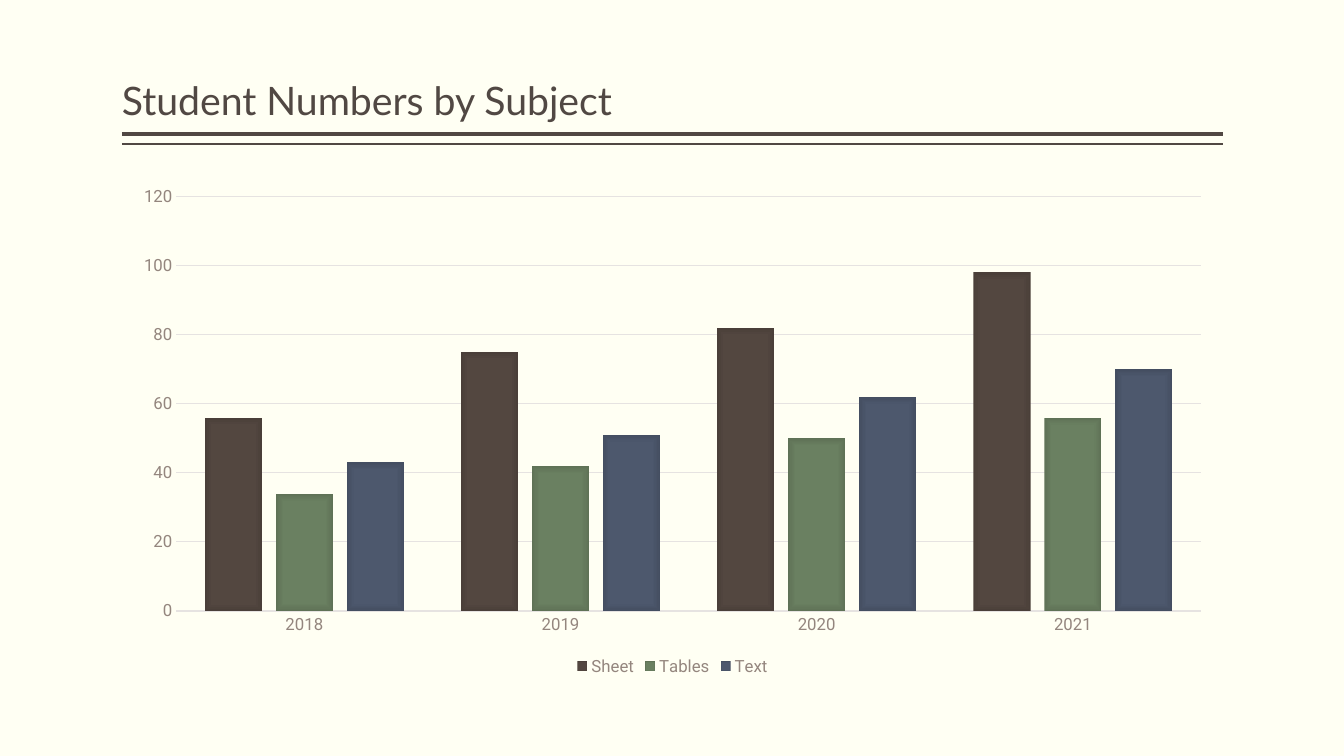
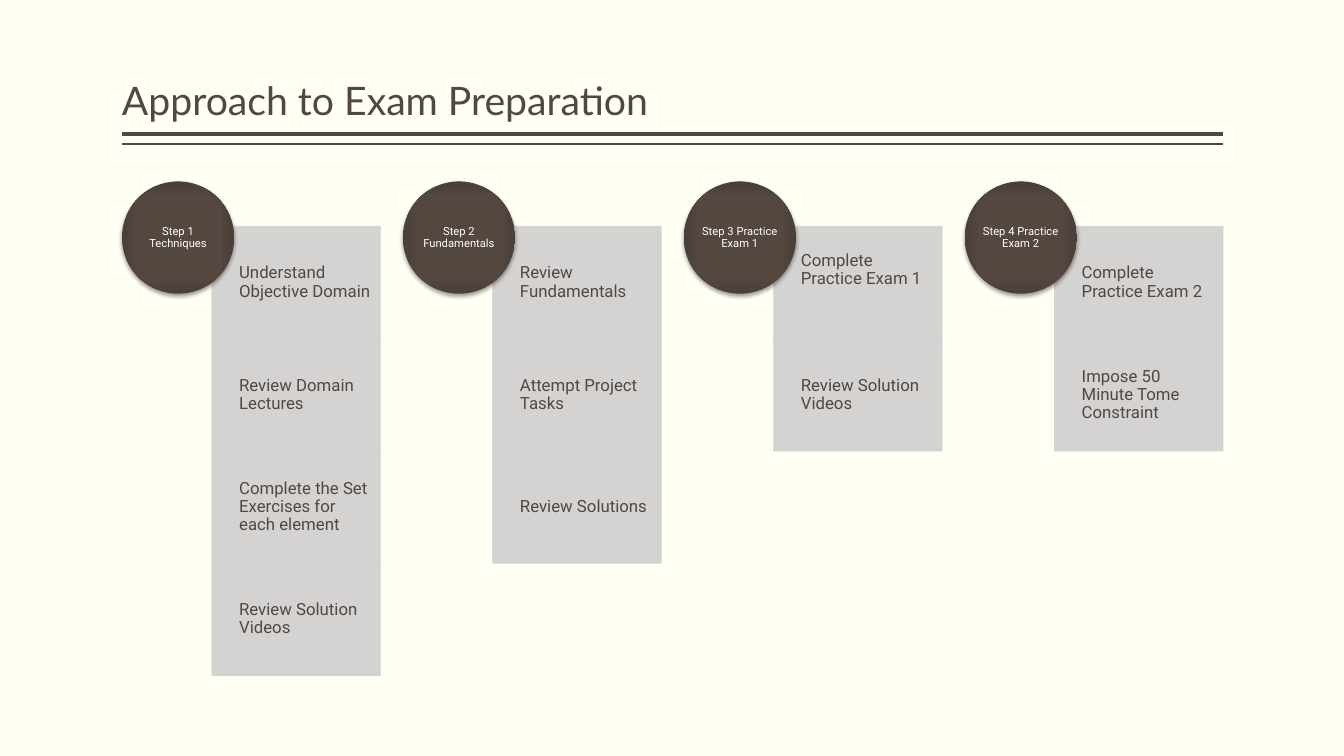
from lxml import etree
from pptx import Presentation
from pptx.chart.data import CategoryChartData
from pptx.dml.color import RGBColor
from pptx.enum.chart import XL_CHART_TYPE as ChartType
from pptx.enum.chart import XL_LEGEND_POSITION as LegendPosition
from pptx.enum.chart import XL_TICK_MARK as TickMark
from pptx.enum.shapes import MSO_CONNECTOR as Connector
from pptx.enum.shapes import MSO_SHAPE as Shape
from pptx.enum.text import MSO_ANCHOR as Anchor
from pptx.enum.text import MSO_AUTO_SIZE as AutoSize
from pptx.enum.text import PP_ALIGN as Align
from pptx.oxml import parse_xml
from pptx.oxml.ns import nsdecls, qn
from pptx.util import Inches, Pt

TITLE_ONLY = 5
CREAM, INK, TAUPE, RULE, TILE, WHITE = (
    "FFFFF3", "514843", "94867E", "E6E3E1", "D0CFCF", "FFFFFF")
# Gradients run from the centre to the edge
BROWN = ("544740", "534740", "4A3F39")
GREEN = ("6B8162", "6A8061", "5F7256")
BLUE = ("4E596E", "4D586D", "444E61")

# Content area, in inches
LEFT, WIDTH = 1.21, 10.92
# Step grid: the circle's diameter is the unit; four steps span 9.8 units
UNIT = WIDTH / 9.8
STEP_TOP, STEP_PITCH = 1.8, 2.5
TILE_LEFT, TILE_TOP, TILE_WIDTH = 0.8, 0.4, 1.5


def color(value):
    return RGBColor.from_string(value)


def shade(fill, properties, stops):
    """Give a shape or series a gradient from the centre outwards."""
    fill.solid()
    marks = "".join(
        f'<a:gs pos="{position}000"><a:srgbClr val="{stop}"/></a:gs>'
        for position, stop in zip((0, 71, 100), stops))
    gradient = parse_xml(
        f'<a:gradFill {nsdecls("a")} rotWithShape="1"><a:gsLst>{marks}</a:gsLst>'
        '<a:path path="rect"><a:fillToRect l="50000" t="50000" r="50000" b="50000"/>'
        '</a:path></a:gradFill>')
    properties.replace(properties.find(qn("a:solidFill")), gradient)


class Deck:
    """Holds the style and the current slide."""

    def __init__(self):
        self.presentation = Presentation()
        self.presentation.slide_width = Inches(13.33)
        self.presentation.slide_height = Inches(7.5)
        background = self.presentation.slide_master.background.fill
        background.solid()
        background.fore_color.rgb = color(CREAM)
        self.slide = None

    def font(self, font, size, ink, name="Roboto"):
        font.size, font.name, font.bold = Pt(size), name, False
        font.color.rgb = color(ink)

    def text(self, shape, text, size, ink, insets, anchor, align=Align.LEFT,
             name="Roboto"):
        frame = shape.text_frame
        frame.text = text
        frame.word_wrap = True
        frame.auto_size = AutoSize.NONE
        frame.vertical_anchor = anchor
        (frame.margin_left, frame.margin_top,
         frame.margin_right, frame.margin_bottom) = map(Inches, insets)
        paragraph = frame.paragraphs[0]
        paragraph.alignment = align
        paragraph.line_spacing = 0.9
        self.font(paragraph.font, size, ink, name)

    def new_slide(self, title):
        layout = self.presentation.slide_layouts[TITLE_ONLY]
        self.slide = self.presentation.slides.add_slide(layout)
        for y, weight in ((1.33, 3), (1.43, 1)):
            self.rule(y, weight)
        heading = self.slide.shapes.title
        heading.left, heading.top = Inches(LEFT), Inches(0.08)
        heading.width, heading.height = Inches(WIDTH), Inches(1.2)
        self.text(heading, title, 28, INK, (0, 0.05, 0, 0.05), Anchor.BOTTOM,
                  name="Lato")

    def rule(self, y, weight):
        line = self.slide.shapes.add_connector(
            Connector.STRAIGHT, Inches(LEFT), Inches(y),
            Inches(LEFT + WIDTH), Inches(y))
        line.line.color.rgb = color(INK)
        line.line.width = Pt(weight)
        etree.SubElement(line._element.spPr, qn("a:effectLst"))

    def shape(self, kind, column, row, width, height=1):
        """Add a shape placed on the step grid."""
        shape = self.slide.shapes.add_shape(
            kind, Inches(LEFT + column * UNIT), Inches(STEP_TOP + row * UNIT),
            Inches(width * UNIT), Inches(height * UNIT))
        shape.shadow.inherit = False
        return shape

    def tile(self, column, row, text, lift):
        tile = self.shape(Shape.RECTANGLE, column, row, TILE_WIDTH)
        tile.fill.solid()
        tile.fill.fore_color.rgb = color(TILE)
        tile.line.color.rgb = color(TILE)
        tile.line.width = Pt(0.5)
        for paint in tile._element.spPr.iter(qn("a:srgbClr")):
            etree.SubElement(paint, qn("a:alpha"), val="90000")
        self.text(tile, text, 12, INK, (0.27, 0.09, 0.08, 0.09 + lift), Anchor.MIDDLE)

    def circle(self, column, text):
        circle = self.shape(Shape.OVAL, column, 0, 1)
        properties = circle._element.spPr
        shade(circle.fill, properties, BROWN)
        circle.line.fill.background()
        properties.find(qn("a:effectLst")).append(parse_xml(
            f'<a:outerShdw {nsdecls("a")} blurRad="{Pt(3.1)}" dist="{Pt(2)}" '
            'dir="5400000" rotWithShape="0"><a:srgbClr val="000000">'
            '<a:alpha val="38000"/></a:srgbClr></a:outerShdw>'))
        self.text(circle, text, 8, WHITE, (0, 0, 0, 0), Anchor.MIDDLE, Align.CENTER)

    def step(self, index, label, tasks, lift=0):
        """Stack a step's tiles under its circle; lift raises the first text."""
        column = index * STEP_PITCH
        for row, task in enumerate(tasks):
            self.tile(column + TILE_LEFT, TILE_TOP + row, task, 0 if row else lift)
        self.circle(column, label)

    def column_chart(self, categories, series):
        data = CategoryChartData()
        data.categories = categories
        for name, values, _ in series:
            data.add_series(name, values)
        chart = self.slide.shapes.add_chart(
            ChartType.COLUMN_CLUSTERED, Inches(LEFT), Inches(1.75),
            Inches(WIDTH), Inches(5), data).chart
        self.font(chart.font, 10, INK)
        chart.has_title = False
        # Legend
        chart.has_legend = True
        chart.legend.position = LegendPosition.BOTTOM
        chart.legend.include_in_layout = False
        self.font(chart.legend.font, 12, TAUPE)
        # Axes
        category_axis, value_axis = chart.category_axis, chart.value_axis
        for axis in (category_axis, value_axis):
            axis.major_tick_mark = axis.minor_tick_mark = TickMark.NONE
            self.font(axis.tick_labels.font, 12, TAUPE)
        category_axis.format.line.color.rgb = color(RULE)
        category_axis.format.line.width = Pt(1)
        value_axis.minimum_scale, value_axis.maximum_scale = 0, 120
        value_axis.major_unit = 20
        value_axis.format.line.fill.background()
        gridlines = value_axis.major_gridlines.format.line
        gridlines.color.rgb = color(RULE)
        gridlines.width = Pt(0.75)
        # Columns
        plot = chart.plots[0]
        plot.vary_by_categories = False
        plot.gap_width, plot.overlap = 100, -24
        for bars, (_, _, stops) in zip(plot.series, series):
            shade(bars.format.fill, bars._element.find(qn("c:spPr")), stops)


def main():
    deck = Deck()

    # Student numbers
    deck.new_slide("Student Numbers by Subject")
    deck.column_chart(("2018", "2019", "2020", "2021"), (
        ("Sheet", (56, 75, 82, 98), BROWN),
        ("Tables", (34, 42, 50, 56), GREEN),
        ("Text", (43, 51, 62, 70), BLUE),
    ))

    # Exam steps
    deck.new_slide("Approach to Exam Preparation")
    steps = (
        ("Step 1 Techniques", (
            "Understand Objective Domain", "Review Domain Lectures",
            "Complete the Set Exercises for each element",
            "Review Solution Videos")),
        ("Step 2 Fundamentals", (
            "Review Fundamentals", "Attempt Project Tasks", "Review Solutions")),
        ("Step 3 Practice Exam 1", (
            "Complete Practice Exam 1", "Review Solution Videos"), 0.24),
        ("Step 4 Practice Exam 2", (
            "Complete Practice Exam 2", "Impose 50 Minute Tome Constraint")),
    )
    for index, step in enumerate(steps):
        deck.step(index, *step)

    deck.presentation.save("out.pptx")


if __name__ == "__main__":
    main()
